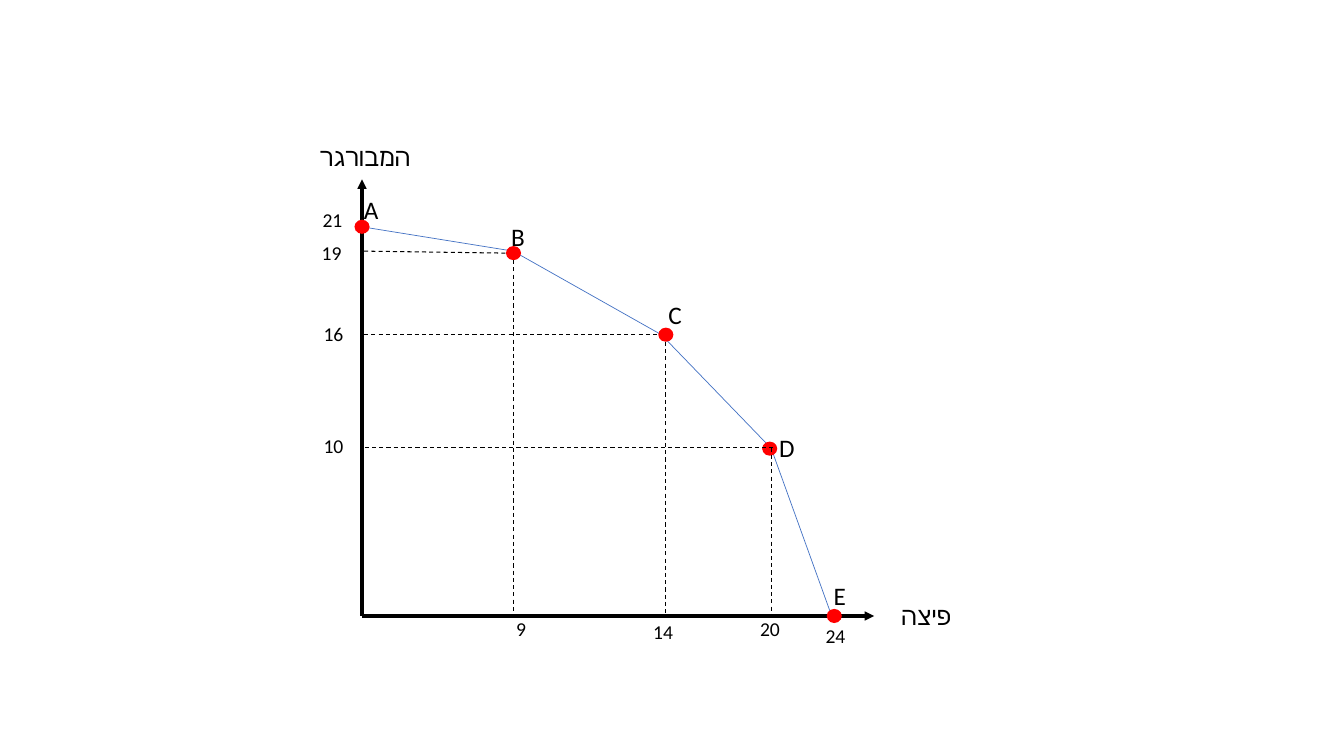
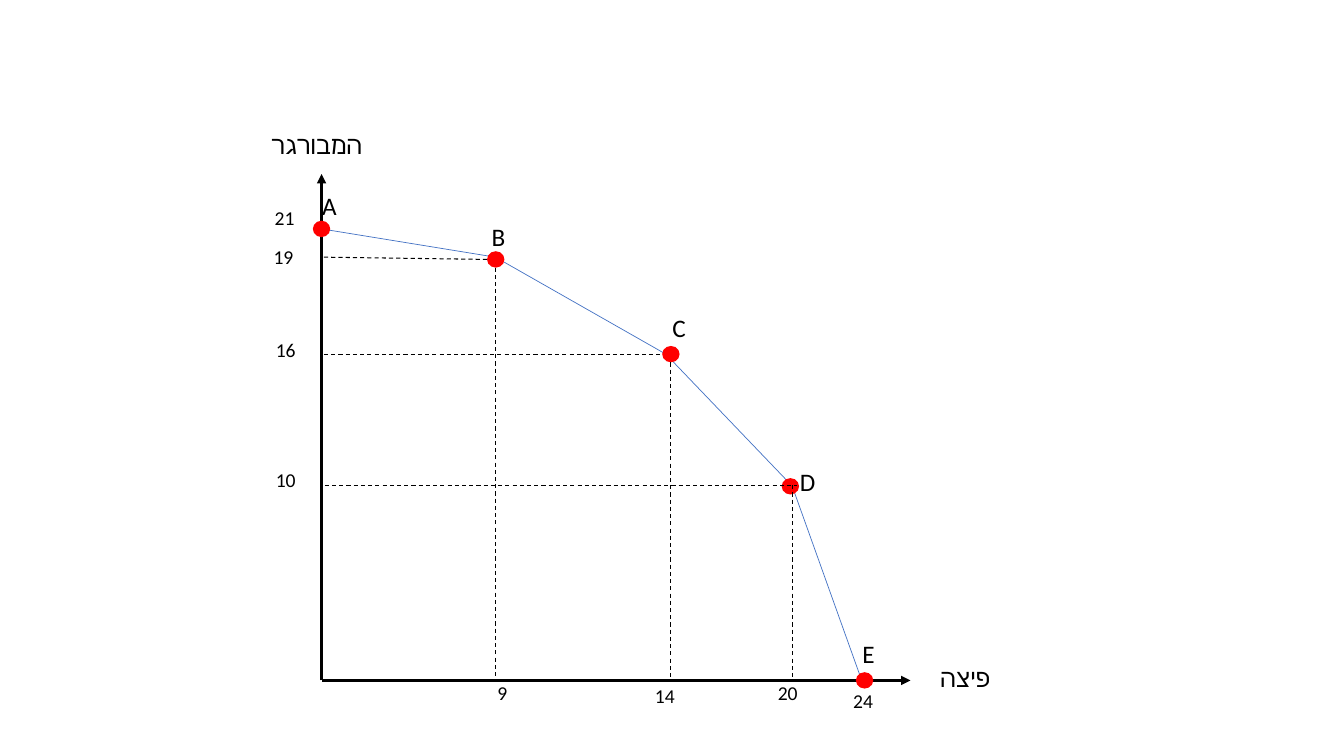
from dataclasses import dataclass

from lxml.etree import SubElement
from pptx import Presentation
from pptx.dml.color import RGBColor
from pptx.enum.dml import MSO_LINE_DASH_STYLE as DASH
from pptx.enum.shapes import MSO_CONNECTOR as CONN, MSO_SHAPE as SHAPE
from pptx.enum.text import MSO_AUTO_SIZE as AUTO
from pptx.oxml.ns import qn
from pptx.util import Pt

BLACK = RGBColor(0x00, 0x00, 0x00)
BLUE = RGBColor(0x44, 0x72, 0xC4)
RED = RGBColor(0xFF, 0x00, 0x00)
FONT = "Calibri"

DOT_W, DOT_H = 10.8, 10.1
AXIS_ENDS = [(0, 311.8), (365.8, 0)]
CURVE = [(0, 278), (108, 260.6), (213.8, 200.9), (292.3, 119.7), (335.5, 0)]
DOTS = [(108.2, 259.2), (217, 200.9), (291.2, 119.5), (337.3, 0), (0, 278)]
GUIDES = [
    ((2, 120.2), (295.2, 120.2)),
    ((1.5, 200.9), (211.7, 200.9)),
    ((1.5, 260.6), (103, 259.2)),
    ((216.7, 195.8), (216.7, 0.7)),
    ((108, 254.2), (108, 0.7)),
    ((292.3, 120.2), (292.3, 0.7)),
]
AXIS_NAMES = [("המבורגר", -37.4, 342.7), ("פיצה", 378, 14.4)]
POINT_NAMES = [
    ("A", -5.8, 304.6),
    ("B", 99.4, 285.8),
    ("C", 211.7, 229.7),
    ("D", 290.9, 134.6),
    ("E", 329.8, 28.8),
]
TICKS = [
    ("21", -35.3, 295.2),
    ("19", -36, 271.4),
    ("16", -34.6, 213.8),
    ("10", -34.6, 133.9),
    ("9", 103, 2.9),
    ("14", 200.9, 0.7),
    ("20", 277.2, 2.9),
    ("24", 324, -2.2),
]


@dataclass
class Plot:
    left: float
    base: float
    sx: float = 1
    sy: float = 1

    def at(self, x, y):
        return Pt(self.left + x * self.sx), Pt(self.base - y * self.sy)

    def size(self, w, h):
        return Pt(w * self.sx), Pt(h * self.sy)


def add_line(shapes, plot, start, end, color, width, dash=None, arrow=False):
    line = shapes.add_connector(CONN.STRAIGHT, *plot.at(*start), *plot.at(*end))
    line.line.color.rgb = color
    line.line.width = Pt(width)
    if dash:
        line.line.dash_style = dash
    if arrow:
        SubElement(line.line._get_or_add_ln(), qn("a:tailEnd"), type="triangle")
    SubElement(line._element.spPr, qn("a:effectLst"))


def add_dot(shapes, plot, x, y):
    corner = plot.at(x, y)
    w, h = plot.size(DOT_W, DOT_H)
    sp = shapes.add_shape(SHAPE.OVAL, corner[0] - w // 2, corner[1] - h // 2, w, h)
    sp.shadow.inherit = False
    sp.fill.solid()
    sp.fill.fore_color.rgb = RED
    sp.line.fill.background()


def add_labels(shapes, plot, labels, w, h, size):
    for text, x, y in labels:
        sp = shapes.add_textbox(*plot.at(x, y), *plot.size(w, h))
        tf = sp.text_frame
        tf.word_wrap = True
        tf.auto_size = AUTO.SHAPE_TO_FIT_TEXT
        r = tf.paragraphs[0].add_run()
        r.text = text
        r.font.name = FONT
        r.font.size = Pt(size)
        r.font.color.rgb = BLACK


def draw_frontier(shapes, plot):
    axes = shapes.add_group_shape().shapes
    for end in AXIS_ENDS:
        add_line(axes, plot, (0, 0), end, BLACK, 2.25, arrow=True)
    add_labels(shapes, plot, AXIS_NAMES, 95, 28.8, 18)
    for start, end in zip(CURVE, CURVE[1:]):
        add_line(shapes, plot, start, end, BLUE, 0.5)
    add_labels(shapes, plot, POINT_NAMES, 15.2, 28.8, 18)
    for x, y in DOTS:
        add_dot(shapes, plot, x, y)
    for start, end in GUIDES:
        add_line(shapes, plot, start, end, BLACK, 0.75, dash=DASH.DASH)
    add_labels(shapes, plot, TICKS, 36.7, 24.5, 14)


def main():
    prs = Presentation()
    prs.slide_width, prs.slide_height = Pt(960), Pt(540)
    for plot in (Plot(258.6, 440), Plot(229.7, 486, 1.15, 1.16)):
        s = prs.slides.add_slide(prs.slide_layouts[6])
        draw_frontier(s.shapes, plot)
    prs.save("out.pptx")


if __name__ == "__main__":
    main()
